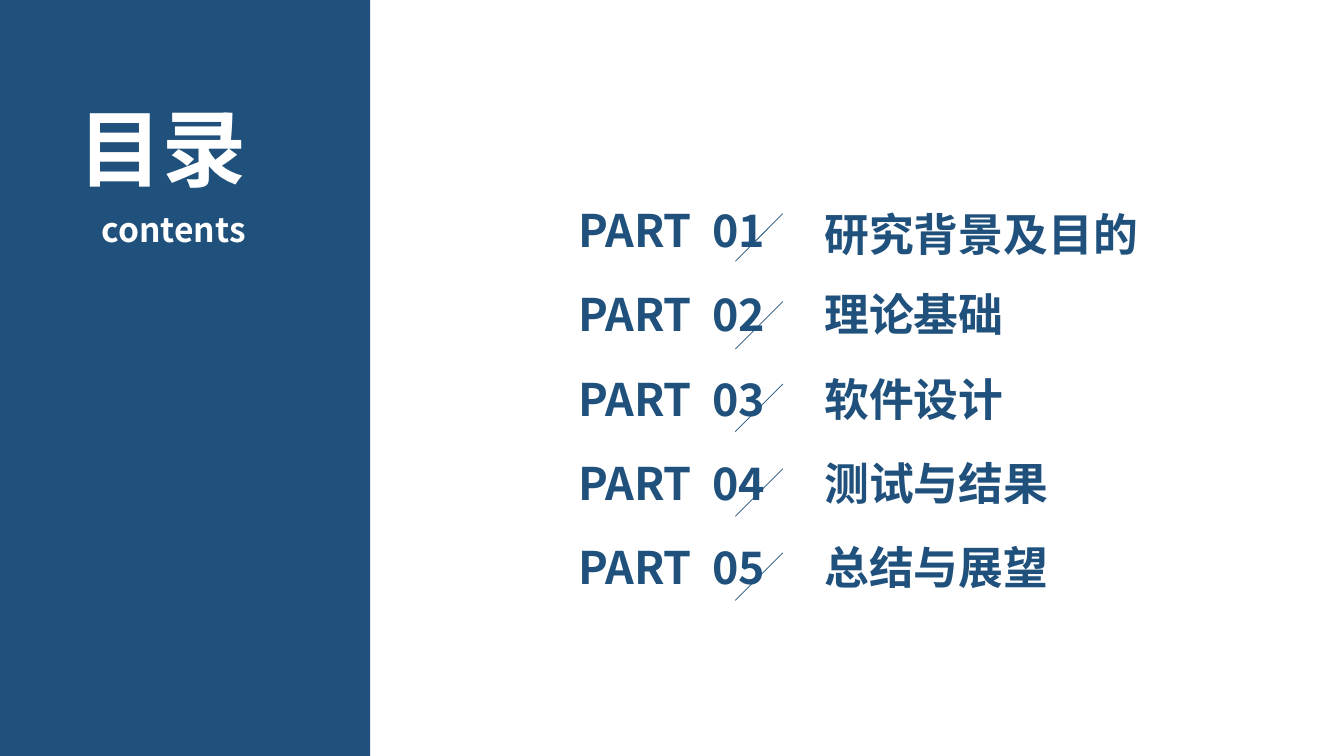
from pptx import Presentation
from pptx.dml.color import RGBColor
from pptx.enum.shapes import MSO_CONNECTOR as Connector, MSO_SHAPE as Shape
from pptx.enum.text import MSO_ANCHOR as Anchor, MSO_AUTO_SIZE as AutoSize, PP_ALIGN as Align
from pptx.oxml.ns import qn
from pptx.util import Pt
from lxml.etree import SubElement

NAVY = RGBColor(0x20, 0x51, 0x7C)
WHITE = RGBColor(0xFF, 0xFF, 0xFF)
FONT = "Noto Sans CJK SC"

PAGE_WIDTH, PAGE_HEIGHT = 960.5, 540
FIRST_ROW, ROW_STEP = 148.5, 60.3
SLASH_TOPS = (152.6, 215.3, 274.3, 334.8, 394.9)
CHAPTERS = ("研究背景及目的", "理论基础", "软件设计", "测试与结果", "总结与展望")


def add_panel(page, width, height):
    panel = page.shapes.add_shape(Shape.RECTANGLE, 0, 0, Pt(width), Pt(height))
    panel.shadow.inherit = False
    panel.fill.solid()
    panel.fill.fore_color.rgb = NAVY
    panel.line.fill.background()


def write_text(box, text, size, color, spacing=1.0):
    frame = box.text_frame
    frame.word_wrap = True
    frame.auto_size = AutoSize.NONE
    frame.vertical_anchor = Anchor.TOP
    para = frame.paragraphs[0]
    para.alignment = Align.LEFT
    para.line_spacing = spacing
    span = para.add_run()
    span.text = text
    font = span.font
    font.name, font.size, font.bold = FONT, Pt(size), True
    font.color.rgb = color
    SubElement(font._element, qn("a:ea")).set("typeface", FONT)


def add_label(page, left, top, width, height, text, size, color, spacing=1.0):
    box = page.shapes.add_textbox(Pt(left), Pt(top), Pt(width), Pt(height))
    write_text(box, text, size, color, spacing)


def set_title(page, left, top, width, height, text):
    title = page.shapes.title
    title.left, title.top = Pt(left), Pt(top)
    title.width, title.height = Pt(width), Pt(height)
    write_text(title, text, 60, WHITE)


def add_slash(page, top):
    slash = page.shapes.add_connector(
        Connector.STRAIGHT, Pt(559.5), Pt(top), Pt(525.5), Pt(top + 34))
    slash.line.color.rgb = NAVY
    slash.line.width = Pt(0.5)
    SubElement(slash._element.spPr, qn("a:effectLst"))


def add_chapter(page, index, name):
    top = FIRST_ROW + index * ROW_STEP
    add_slash(page, SLASH_TOPS[index])
    add_label(page, 406, top, 176, 40, f"PART  {index + 1:02}", 32, NAVY, 0.8)
    # The first chapter name is set with looser lines
    add_label(page, 582, top, 255, 40, name, 32, NAVY, 0.8 if index else 0.9)


def main():
    deck = Presentation()
    deck.slide_width, deck.slide_height = Pt(PAGE_WIDTH), Pt(PAGE_HEIGHT)
    page = deck.slides.add_slide(deck.slide_layouts[5])
    add_panel(page, 264.5, PAGE_HEIGHT)
    # Bring the title in front of the panel
    page.shapes._spTree.append(page.shapes.title._element)
    set_title(page, 49, 65.5, 158, 79, "目录")
    add_label(page, 65.5, 146, 125, 36, "contents", 24, WHITE)
    for index, name in enumerate(CHAPTERS):
        add_chapter(page, index, name)
    deck.save("out.pptx")


if __name__ == "__main__":
    main()
